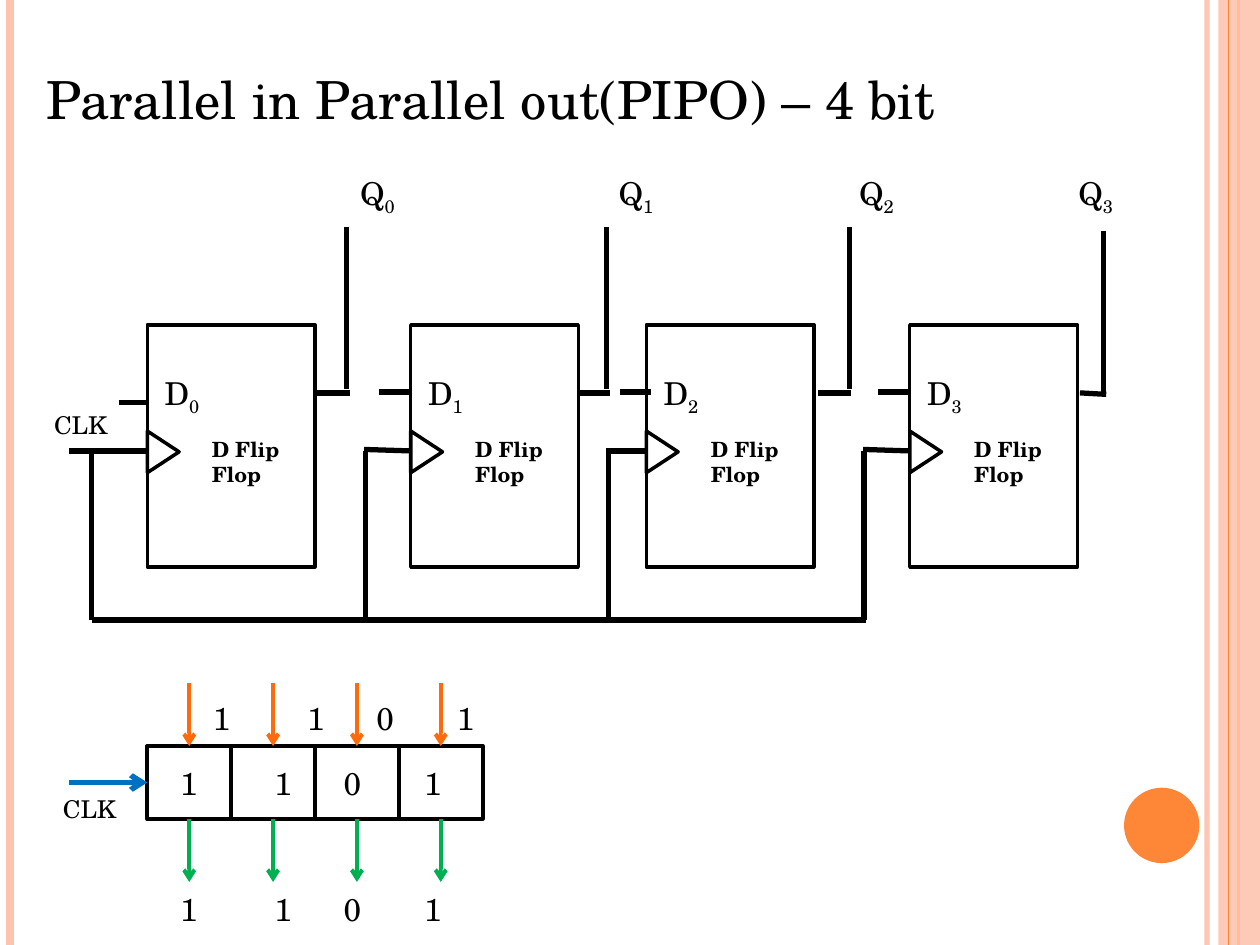
from dataclasses import dataclass

from lxml.etree import SubElement
from pptx import Presentation
from pptx.dml.color import RGBColor
from pptx.enum.shapes import MSO_CONNECTOR, MSO_SHAPE as Shape
from pptx.enum.text import MSO_ANCHOR as Anchor, MSO_AUTO_SIZE as AutoSize
from pptx.oxml.ns import qn
from pptx.util import Cm, Pt

BLACK = RGBColor(0x00, 0x00, 0x00)
PEACH = RGBColor(0xFE, 0xC3, 0xAE)
ORANGE = RGBColor(0xFE, 0x86, 0x37)
INPUT_ORANGE = RGBColor(0xFF, 0x6B, 0x0A)
CLOCK_BLUE = RGBColor(0x00, 0x70, 0xC0)
OUTPUT_GREEN = RGBColor(0x00, 0xB0, 0x50)
FONT = "TeX Gyre Schola"
SLIDE_W, SLIDE_H = 25.4, 19.05
BOX_W, BOX_H = 3.38, 4.88
CELL_W, CELL_H = 1.69, 1.47


@dataclass
class Stage:
    """One flip flop; all values but left are offsets from its box, in cm."""
    left: float
    d_wire: tuple
    d_y: float
    d_label_w: float
    q_wire: tuple
    q_riser: float
    q_label: float
    q_top: float
    q_drop: float
    clk_start: float
    clk_riser: float
    clk_drop: float


STAGES = [
    Stage(2.97, (-0.58, -0.02), 1.57, 1.6, (3.38, 4.09), 4.02, 4.04, -1.98, 0, -1.57, -1.12, 0),
    Stage(8.28, (-0.63, 0), 1.35, 1.27, (3.35, 4.01), 3.94, 3.94, -1.98, 0, -0.94, -0.91, 0.03),
    Stage(13.03, (-0.53, 0.1), 1.35, 1.6, (3.45, 4.12), 4.09, 4.04, -1.98, 0, -0.81, -0.76, 0),
    Stage(18.34, (-0.64, 0), 1.35, 1.27, (3.43, 3.96), 3.91, 3.15, -1.9, 0.03, -0.94, -0.92, 0.03),
]
BITS = "1101"
# Offset from the register's left edge and width of each bit's label
BIT_SLOTS = [(0.41, 1.04), (2.31, 0.79), (3.71, 1.24), (5.33, 0.79)]


def set_alpha(color_parent, percent):
    color = color_parent.find(".//" + qn("a:srgbClr"))
    SubElement(color, qn("a:alpha")).set("val", str(percent * 1000))


def add_line(slide, x1, y1, x2, y2, color=BLACK, width=3, arrow=False, alpha=None):
    line = slide.shapes.add_connector(
        MSO_CONNECTOR.STRAIGHT, Cm(x1), Cm(y1), Cm(x2), Cm(y2))
    line.line.color.rgb = color
    line.line.width = Pt(width)
    outline = line.line._get_or_add_ln()
    if arrow:
        SubElement(outline, qn("a:tailEnd")).set("type", "arrow")
    if alpha:
        set_alpha(outline, alpha)
    SubElement(line._element.spPr, qn("a:effectLst"))


def add_block(slide, preset, left, top, width, height, fill=None, outline=None):
    block = slide.shapes.add_shape(preset, Cm(left), Cm(top), Cm(width), Cm(height))
    block.shadow.inherit = False
    if fill is None:
        block.fill.background()
    else:
        block.fill.solid()
        block.fill.fore_color.rgb = fill
    if outline is None:
        block.line.fill.background()
    else:
        block.line.color.rgb = BLACK
        block.line.width = Pt(outline)
    return block


def add_label(slide, left, top, width, height, text, size=18, bold=False, subscript=None):
    label = slide.shapes.add_textbox(Cm(left), Cm(top), Cm(width), Cm(height))
    frame = label.text_frame
    frame.word_wrap = True
    frame.auto_size = AutoSize.SHAPE_TO_FIT_TEXT
    frame.text = text
    paragraph = frame.paragraphs[0]
    if subscript is not None:
        index = paragraph.add_run()
        index.text = str(subscript)
        index._r.get_or_add_rPr().set("baseline", "-25000")
    for run in paragraph.runs:
        run.font.name = FONT
        run.font.size = Pt(size)
        run.font.bold = bold
        run.font.color.rgb = BLACK
    return frame


def add_side_bands(slide):
    def band_line(x, color, width, alpha=None):
        add_line(slide, x, 0, x, SLIDE_H, color, width, alpha=alpha)

    band_line(24.33, PEACH, 3, alpha=93)
    band_line(0.2, PEACH, 4.5)
    band_line(24.97, ORANGE, 1.5)
    band = add_block(slide, Shape.RECTANGLE, 24.56, 0, 0.84, SLIDE_H, PEACH)
    set_alpha(band._element.spPr, 87)
    band_line(24.77, ORANGE, 0.75)
    add_block(slide, Shape.OVAL, 22.66, 15.88, 1.52, 1.52, ORANGE)


def add_title(slide, left, top, width, height):
    frame = add_label(slide, left, top, width, height,
                      "Parallel in Parallel out(PIPO) – 4 bit", 30)
    frame.auto_size = AutoSize.NONE
    frame.vertical_anchor = Anchor.BOTTOM


def add_flip_flop(slide, stage, number, top, bus_y):
    left = stage.left
    q_y, clk_y = top + 1.37, top + 2.54

    add_block(slide, Shape.RECTANGLE, left, top, BOX_W, BOX_H, outline=2)
    clock_mark = add_block(slide, Shape.ISOSCELES_TRIANGLE,
                           left - 0.1, top + 2.24, 0.84, 0.64, outline=2)
    clock_mark.rotation = 90
    add_label(slide, left + 0.1, top + 0.86, stage.d_label_w, 1.02, "D", subscript=number)
    add_label(slide, left + 1.05, top + 2.13, 2.34, 1.27, "D Flip Flop", 12, bold=True)

    d_start, d_end = stage.d_wire
    add_line(slide, left + d_start, top + stage.d_y, left + d_end, top + stage.d_y)

    q_start, q_end = stage.q_wire
    riser_x = left + stage.q_riser
    add_line(slide, left + q_start, q_y, left + q_end, q_y + stage.q_drop)
    add_line(slide, riser_x, top + stage.q_top, riser_x, q_y - 0.07 + 3 * stage.q_drop)
    add_label(slide, left + stage.q_label, top - 3.17, 1.57, 1.02, "Q", subscript=number)

    riser_x = left + stage.clk_riser
    add_line(slide, left + stage.clk_start, clk_y - stage.clk_drop, left, clk_y)
    add_line(slide, riser_x, clk_y, riser_x, bus_y)


def add_circuit(slide, top):
    bus_y = top + 5.95
    for number, stage in enumerate(STAGES):
        add_flip_flop(slide, stage, number, top, bus_y)
    taps = [stage.left + stage.clk_riser for stage in STAGES]
    for start, end in zip(taps, taps[1:]):
        add_line(slide, start, bus_y, end + 0.04, bus_y)
    add_label(slide, 0.84, top + 1.6, 1.96, 0.86, "CLK", 14)


def add_register(slide, left, top):
    bottom = top + CELL_H
    for column, (bit, (offset, width)) in enumerate(zip(BITS, BIT_SLOTS)):
        cell_left = left + column * CELL_W
        arrow_x = cell_left + CELL_W / 2
        add_block(slide, Shape.RECTANGLE, cell_left, top, CELL_W, CELL_H, outline=2.25)
        add_line(slide, arrow_x, top - 1.27, arrow_x, top, INPUT_ORANGE, 2.25, arrow=True)
        add_line(slide, arrow_x, bottom, arrow_x, bottom + 1.27, OUTPUT_GREEN, 2.25, arrow=True)
        for shift, drop in ((0.66, -1.07), (0, 0.23), (0, 2.77)):
            add_label(slide, left + offset + shift, top + drop, width, 1.02, bit)
    add_line(slide, left - 1.57, top + CELL_H / 2, left, top + CELL_H / 2,
             CLOCK_BLUE, arrow=True)
    add_label(slide, left - 1.95, top + 0.84, 1.96, 0.86, "CLK", 14)


def main():
    deck = Presentation()
    deck.slide_width, deck.slide_height = Cm(SLIDE_W), Cm(SLIDE_H)
    slide = deck.slides.add_slide(deck.slide_layouts[6])
    add_side_bands(slide)
    add_title(slide, 0.69, -0.43, 20.75, 3.18)
    add_circuit(slide, 6.55)
    add_register(slide, 2.97, 15.04)
    deck.save("out.pptx")


if __name__ == "__main__":
    main()
